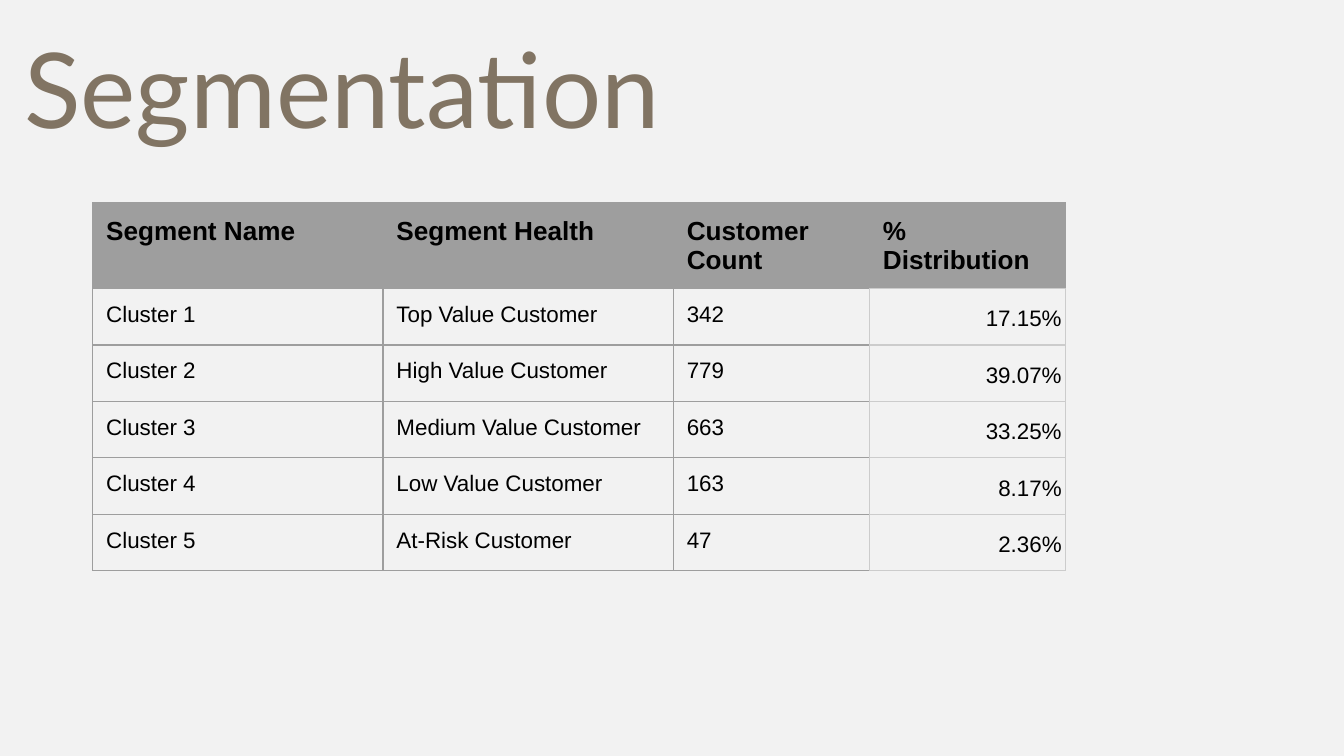
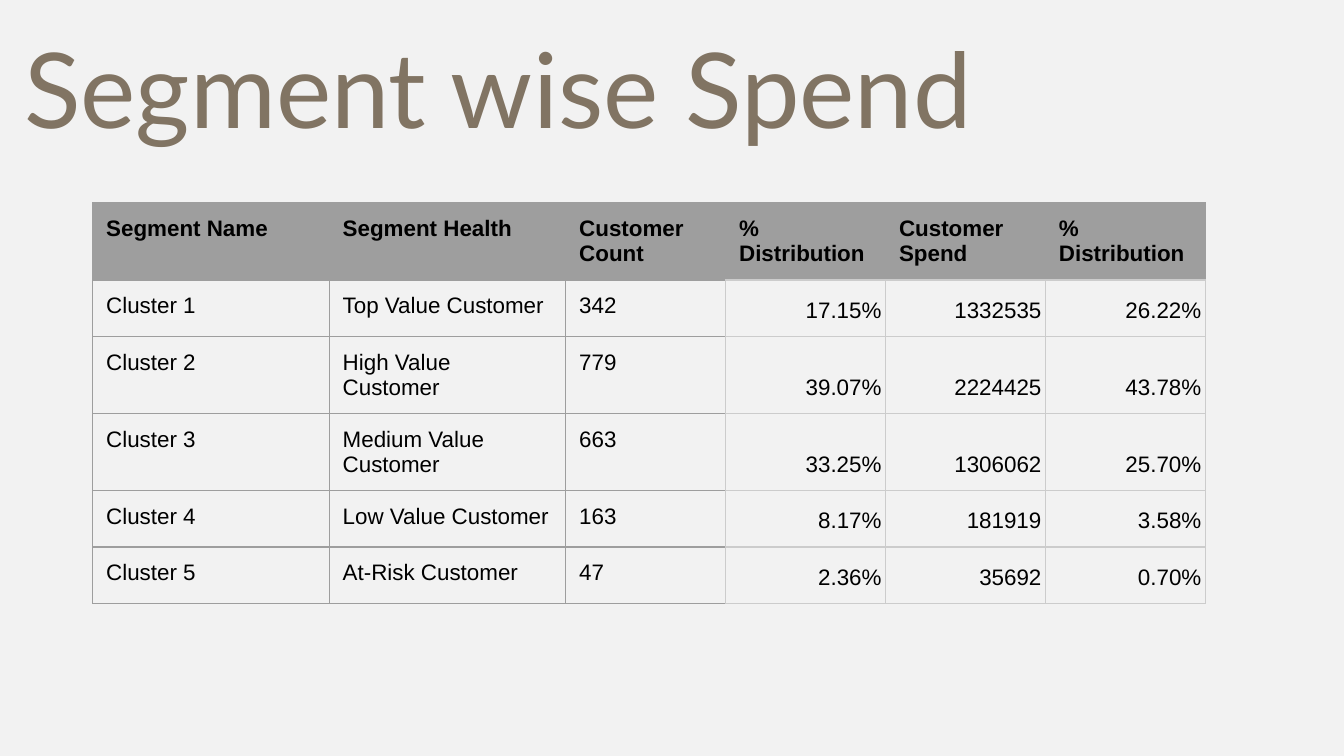
import pptx
import pptx.dml.color
import pptx.enum.text
import pptx.oxml
import pptx.oxml.ns
import pptx.util

Inches = pptx.util.Inches
Pt = pptx.util.Pt
ALIGN = pptx.enum.text.PP_ALIGN
ANCHOR = pptx.enum.text.MSO_ANCHOR

COLORS = {
    "background": "F2F2F2",
    "title": "817463",
    "text": "000000",
    "grid": "9E9E9E",
    "light_grid": "CCCCCC",
}
TITLE_FONT = "Lato"
TABLE_FONT = "Arial"
TITLE_ONLY = 5
ROW_HEIGHT = 0.42
BODY_SIZE = 12
LABEL_COLUMNS = 3  # name, health and count; the columns after them are right-aligned

SEGMENT_HEADINGS = ["Segment Name", "Segment Health", "Customer Count", "% Distribution"]
SEGMENTS = [
    ["Cluster 1", "Top Value Customer", "342", "17.15%"],
    ["Cluster 2", "High Value Customer", "779", "39.07%"],
    ["Cluster 3", "Medium Value Customer", "663", "33.25%"],
    ["Cluster 4", "Low Value Customer", "163", "8.17%"],
    ["Cluster 5", "At-Risk Customer", "47", "2.36%"],
]
SPEND_HEADINGS = ["Customer Spend", "% Distribution"]
SPEND = [
    ["1332535", "26.22%"],
    ["2224425", "43.78%"],
    ["1306062", "25.70%"],
    ["181919", "3.58%"],
    ["35692", "0.70%"],
]


def rgb(name):
    return pptx.dml.color.RGBColor.from_string(COLORS[name])


def add_run(paragraph, text, font, size, color, bold=False):
    run = paragraph.add_run()
    run.text = text
    run.font.name = font
    run.font.size = Pt(size)
    run.font.bold = bold
    run.font.color.rgb = rgb(color)


def add_titled_slide(prs, heading):
    slide = prs.slides.add_slide(prs.slide_layouts[TITLE_ONLY])
    title = slide.shapes.title
    title.left, title.top = Inches(0.08), Inches(0.37)
    title.width, title.height = Inches(9.72), Inches(0.99)
    frame = title.text_frame
    frame.word_wrap = True
    frame.auto_size = pptx.enum.text.MSO_AUTO_SIZE.NONE
    frame.vertical_anchor = ANCHOR.TOP
    frame.margin_left = frame.margin_right = Inches(0.1)
    frame.margin_top = frame.margin_bottom = Inches(0.1)
    paragraph = frame.paragraphs[0]
    paragraph.alignment = ALIGN.LEFT
    paragraph.line_spacing = 0.65
    add_run(paragraph, heading, TITLE_FONT, 56, "title")
    return slide


def set_borders(cell, **edges):
    """Draw the edges L, R, T and B, each given as a colour name."""
    properties = cell._tc.get_or_add_tcPr()
    for side in "LRTB":
        properties.append(pptx.oxml.parse_xml(
            f'<a:ln{side} {pptx.oxml.ns.nsdecls("a")} w="{Pt(0.75)}">'
            f'<a:solidFill><a:srgbClr val="{COLORS[edges[side]]}"/></a:solidFill>'
            f'</a:ln{side}>'))


def fill_cell(cell, text, column, is_header, header_size):
    is_figure = column >= LABEL_COLUMNS
    edges = dict.fromkeys("LRTB", "grid")
    if is_header and is_figure:
        edges["B"] = "light_grid"
    elif is_figure:
        edges = dict.fromkeys("LRTB", "light_grid")
    elif not is_header and column == LABEL_COLUMNS - 1:
        edges["R"] = "light_grid"
    set_borders(cell, **edges)

    paragraph = cell.text_frame.paragraphs[0]
    cell.margin_top = cell.margin_bottom = Inches(0.1)
    if is_figure and not is_header:
        cell.margin_left = cell.margin_right = Inches(0.03)
        cell.vertical_anchor = ANCHOR.BOTTOM
        paragraph.alignment = ALIGN.RIGHT
        paragraph.line_spacing = 1.15
    else:
        cell.margin_left = cell.margin_right = Inches(0.1)
        cell.vertical_anchor = ANCHOR.TOP
        paragraph.alignment = ALIGN.LEFT

    if is_header:
        cell.fill.solid()
        cell.fill.fore_color.rgb = rgb("grid")
    else:
        cell.fill.background()
    size = header_size if is_header else BODY_SIZE
    add_run(paragraph, text, TABLE_FONT, size, "text", bold=is_header)


def add_segment_table(slide, rows, widths, header_size):
    frame = slide.shapes.add_table(
        len(rows), len(widths), Inches(0.69), Inches(1.51),
        Inches(sum(widths)), Inches(ROW_HEIGHT * len(rows)))
    table = frame.table
    table.first_row = table.horz_banding = False
    for column, width in zip(table.columns, widths):
        column.width = Inches(width)
    for r, values in enumerate(rows):
        table.rows[r].height = Inches(ROW_HEIGHT)
        for c, text in enumerate(values):
            fill_cell(table.cell(r, c), text, c, r == 0, header_size)


def main():
    prs = pptx.Presentation()
    prs.slide_width, prs.slide_height = Inches(10), Inches(5.625)
    background = prs.slide_master.background.fill
    background.solid()
    background.fore_color.rgb = rgb("background")

    segment_rows = [SEGMENT_HEADINGS] + SEGMENTS
    segmentation = add_titled_slide(prs, "Segmentation")
    add_segment_table(segmentation, segment_rows, [2.16] * 2 + [1.46] * 2, 14)

    spend_rows = [segment + spend for segment, spend
                  in zip(segment_rows, [SPEND_HEADINGS] + SPEND)]
    segment_spend = add_titled_slide(prs, "Segment wise Spend")
    add_segment_table(segment_spend, spend_rows, [1.76] * 2 + [1.19] * 4, 12)

    prs.save("out.pptx")


if __name__ == "__main__":
    main()
